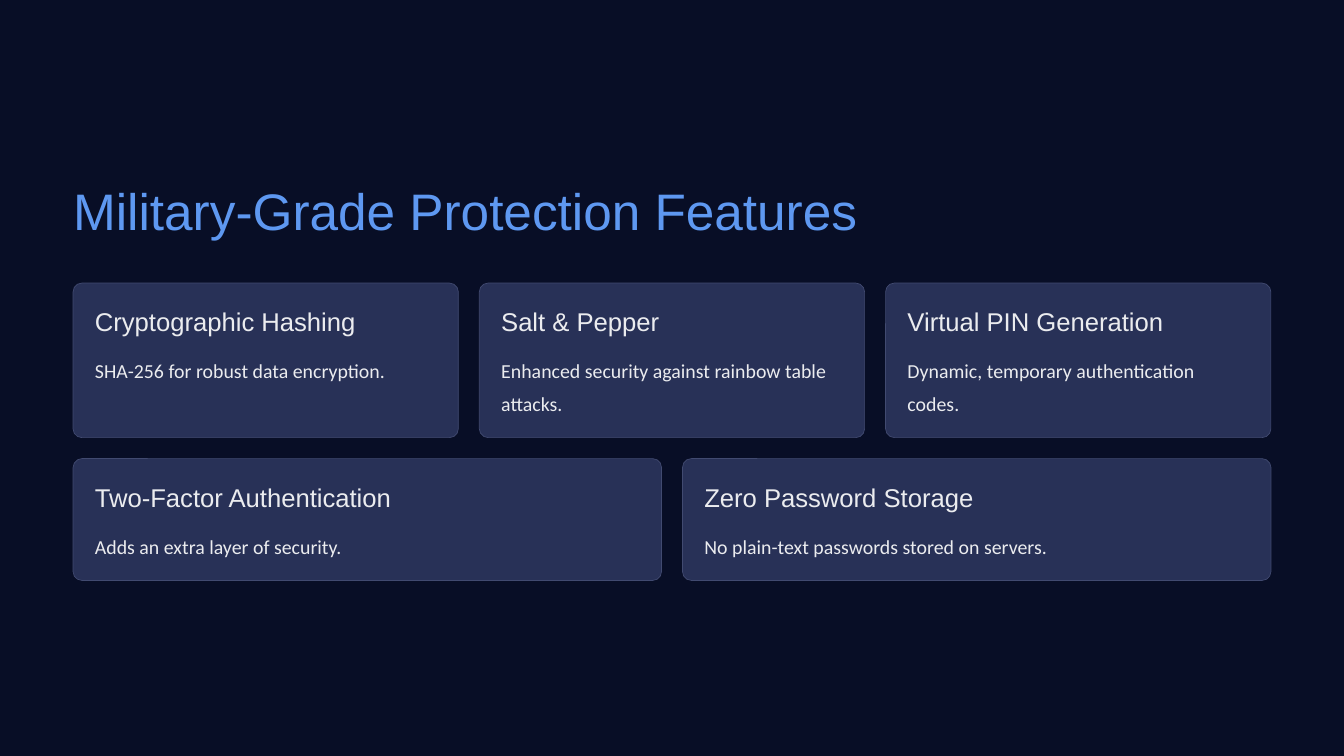
from dataclasses import dataclass

from pptx import Presentation
from pptx.dml.color import RGBColor
from pptx.enum.shapes import MSO_SHAPE
from pptx.slide import Slide
from pptx.util import Inches, Pt

ROUNDED_RECTANGLE = MSO_SHAPE.ROUNDED_RECTANGLE

NAVY = RGBColor(0x08, 0x0E, 0x26)
BLUE = RGBColor(0x5E, 0x98, 0xF1)
CARD_FILL = RGBColor(0x28, 0x31, 0x57)
CARD_LINE = RGBColor(0x41, 0x4A, 0x70)
PALE = RGBColor(0xEB, 0xEC, 0xEF)

SLIDE_WIDTH, SLIDE_HEIGHT = 16, 9
MARGIN = 0.87
CONTENT_WIDTH = SLIDE_WIDTH - 2 * MARGIN
GAP = 0.25
PADDING = 0.26
CORNER_RADIUS = 0.105
TITLE_TOP, TITLE_HEIGHT = 2.1, 0.78
CARDS_TOP = 3.37
HEADING_HEIGHT = 0.39
BODY_OFFSET = 0.79


@dataclass(frozen=True)
class TextStyle:
    font: str
    size: float
    line_spacing: float
    color: RGBColor


@dataclass(frozen=True)
class Card:
    heading: str
    body: str


@dataclass(frozen=True)
class CardRow:
    height: float
    cards: tuple[Card, ...]


TITLE_STYLE = TextStyle("Arial", 44, 55.5, BLUE)
HEADING_STYLE = TextStyle("Arial", 22, 27.5, PALE)
BODY_STYLE = TextStyle("Calibri", 17, 28.5, PALE)

CARD_ROWS = (
    CardRow(1.84, (
        Card("Cryptographic Hashing", "SHA-256 for robust data encryption."),
        Card("Salt & Pepper", "Enhanced security against rainbow table attacks."),
        Card("Virtual PIN Generation", "Dynamic, temporary authentication codes."),
    )),
    CardRow(1.45, (
        Card("Two-Factor Authentication", "Adds an extra layer of security."),
        Card("Zero Password Storage", "No plain-text passwords stored on servers."),
    )),
)


def add_text(slide: Slide, text: str, style: TextStyle,
             left: float, top: float, width: float, height: float) -> None:
    text_box = slide.shapes.add_textbox(
        Inches(left), Inches(top), Inches(width), Inches(height))
    frame = text_box.text_frame
    frame.word_wrap = True
    frame.margin_left = frame.margin_right = 0
    frame.margin_top = frame.margin_bottom = 0
    paragraph = frame.paragraphs[0]
    paragraph.text = text
    paragraph.line_spacing = Pt(style.line_spacing)
    paragraph.font.name = style.font
    paragraph.font.size = Pt(style.size)
    paragraph.font.color.rgb = style.color


def add_card(slide: Slide, card: Card,
             left: float, top: float, width: float, height: float) -> None:
    panel = slide.shapes.add_shape(
        ROUNDED_RECTANGLE,
        Inches(left), Inches(top), Inches(width), Inches(height))
    panel.adjustments[0] = CORNER_RADIUS / height
    panel.shadow.inherit = False
    panel.fill.solid()
    panel.fill.fore_color.rgb = CARD_FILL
    panel.line.color.rgb = CARD_LINE
    panel.line.width = Pt(0.6)

    text_left = left + PADDING
    text_width = width - 2 * PADDING
    body_height = height - BODY_OFFSET - PADDING
    add_text(slide, card.heading, HEADING_STYLE,
             text_left, top + PADDING, text_width, HEADING_HEIGHT)
    add_text(slide, card.body, BODY_STYLE,
             text_left, top + BODY_OFFSET, text_width, body_height)


def add_card_rows(slide: Slide) -> None:
    """Stack the rows, sharing each row's width equally among its cards."""
    top = CARDS_TOP
    for row in CARD_ROWS:
        pitch = (CONTENT_WIDTH + GAP) / len(row.cards)
        for column, card in enumerate(row.cards):
            add_card(slide, card, MARGIN + column * pitch, top,
                     pitch - GAP, row.height)
        top += row.height + GAP


def main() -> None:
    presentation = Presentation()
    presentation.slide_width = Inches(SLIDE_WIDTH)
    presentation.slide_height = Inches(SLIDE_HEIGHT)
    slide = presentation.slides.add_slide(presentation.slide_layouts[6])
    slide.background.fill.solid()
    slide.background.fill.fore_color.rgb = NAVY
    add_text(slide, "Military-Grade Protection Features", TITLE_STYLE,
             MARGIN, TITLE_TOP, CONTENT_WIDTH, TITLE_HEIGHT)
    add_card_rows(slide)
    presentation.save("out.pptx")


if __name__ == "__main__":
    main()
